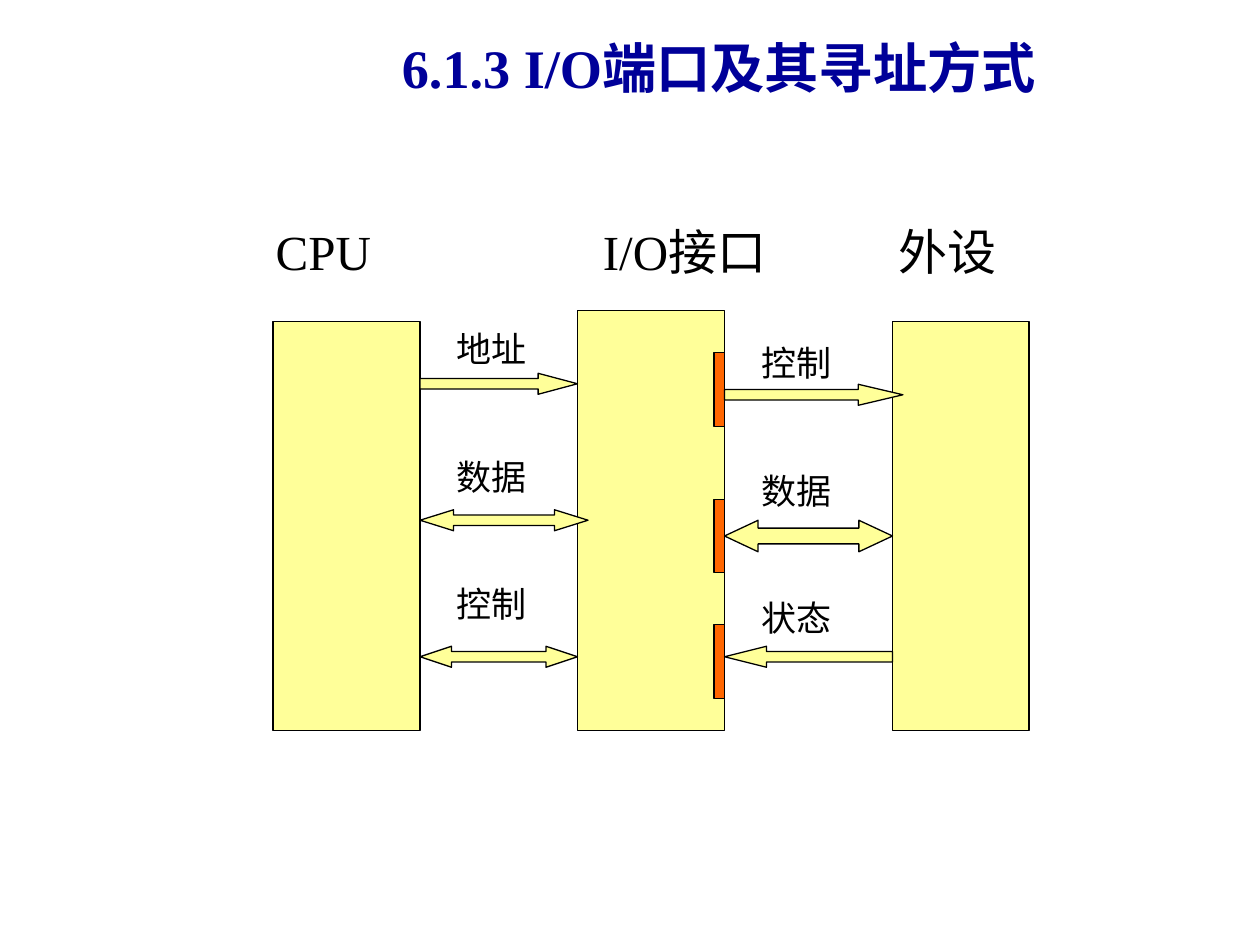
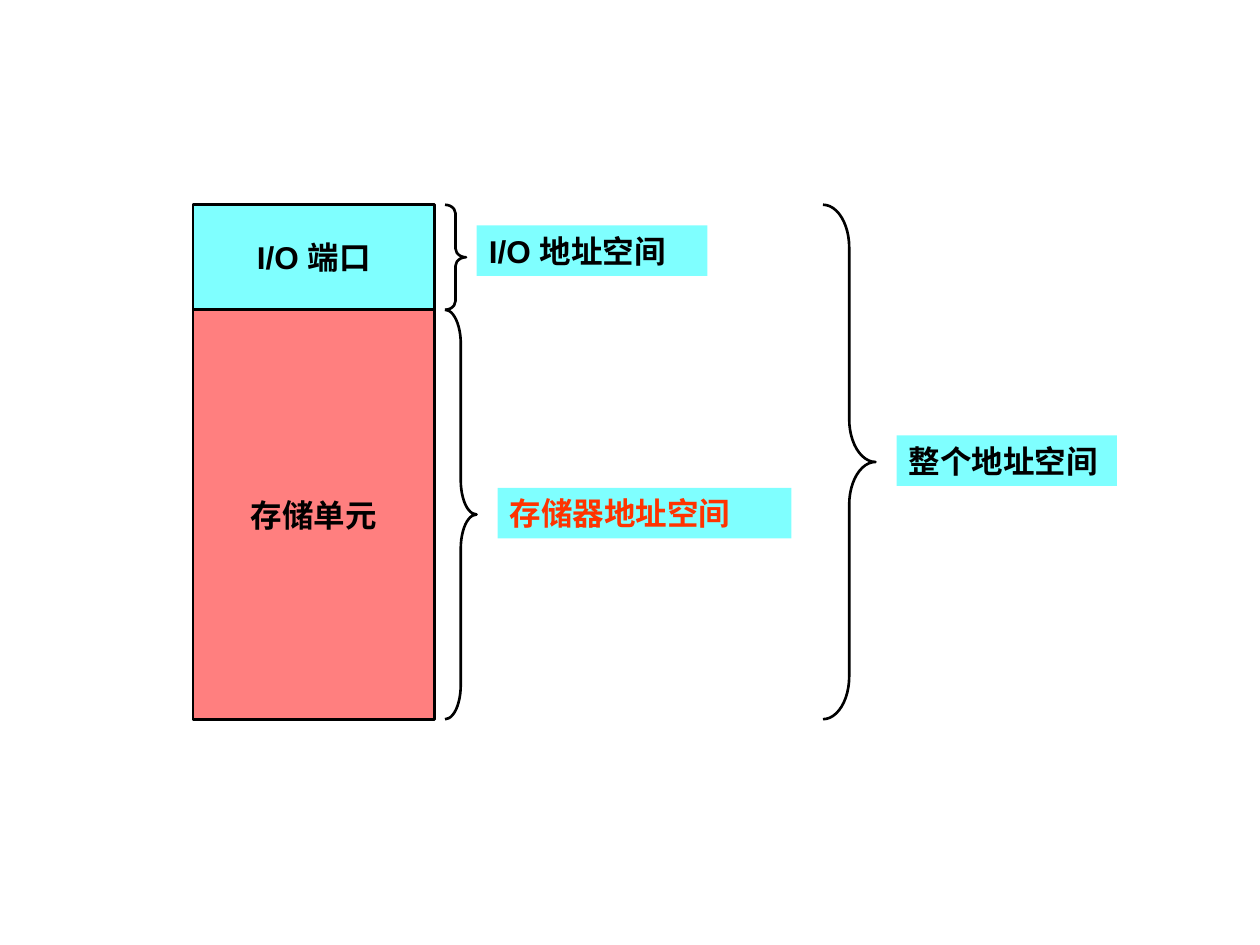
import lxml.etree
import pptx
import pptx.util
import pptx.dml.color
import pptx.enum.shapes
import pptx.enum.text
import pptx.oxml.ns

Pt = pptx.util.Pt
qn = pptx.oxml.ns.qn
SHAPE = pptx.enum.shapes.MSO_SHAPE
ALIGN = pptx.enum.text.PP_ALIGN
ANCHOR = pptx.enum.text.MSO_ANCHOR

COLORS = {
    "title": "000099", "ink": "000000", "block": "FFFF99", "port": "FF6600",
    "io": "00FFFF", "memory": "FF0000", "accent": "FF3300",
}
SERIF, SANS = "Times New Roman", "Arial"

# Slide 1: CPU, interface and device, joined by arrows
TITLE = "6.1.3 I/O端口及其寻址方式"
HEADINGS = ["CPU", "I/O接口", "外设"]
HEADING_TABS = [187, 356]
BLOCKS = [(156, 183.6, 84, 234), (330, 177.3, 84, 240), (510, 183.6, 78, 234)]
PORT_TOPS = [201.6, 285.3, 357]
PORT_WIDTH, PORT_HEIGHT = 6, 42
HEAD_SHARE = {SHAPE.RIGHT_ARROW: 0.25, SHAPE.LEFT_ARROW: 0.25,
              SHAPE.LEFT_RIGHT_ARROW: 0.2}
ARROWS = [  # kind, left, top, width, height
    (SHAPE.RIGHT_ARROW, 240, 213.3, 90, 12),
    (SHAPE.LEFT_RIGHT_ARROW, 240, 291.3, 96, 12),
    (SHAPE.LEFT_RIGHT_ARROW, 240, 369.3, 90, 12),
    (SHAPE.RIGHT_ARROW, 414, 219.6, 102, 12),
    (SHAPE.LEFT_RIGHT_ARROW, 414, 297.3, 96, 18),
    (SHAPE.LEFT_ARROW, 414, 369.3, 96, 12),
]
SIGNAL_COLUMNS = [  # left, top, labels
    (254, 183.6, ["地址", "数据", "控制"]),
    (428, 191.6, ["控制", "数据", "状态"]),
]
SIGNAL_PITCH = 72.9

# Slide 2: one address space shared by ports and memory
MAP_LEFT, MAP_TOP, MAP_WIDTH = 110.3, 117, 138
SECTIONS = [("I/O 端口", "io", 60), ("存储单元", "memory", 234)]
BRACES = [(254.3, 0, 12, 60), (254.3, 60, 18, 234), (470.3, 0, 30, 294)]
BRACE_CURVE = 1 / 12
SPACE_LABELS = [  # text, colour, left, top, width
    ("I/O 地址空间", "ink", 272.3, 128.8, 132),
    ("存储器地址空间", "accent", 284.3, 278.8, 168),
    ("整个地址空间", "ink", 512.3, 248.8, 126),
]
LABEL_HEIGHT = 28.9


def color(name):
    return pptx.dml.color.RGBColor.from_string(COLORS[name])


def write(shape, text, size, font=SERIF, ink="ink", bold=False,
          align=ALIGN.LEFT, anchor=ANCHOR.TOP, wrap=True):
    frame = shape.text_frame
    frame.text = text
    frame.word_wrap = wrap
    frame.auto_size = pptx.enum.text.MSO_AUTO_SIZE.NONE
    frame.vertical_anchor = anchor
    paragraph = frame.paragraphs[0]
    paragraph.alignment = align
    for run in paragraph.runs:
        run.font.name, run.font.size, run.font.bold = font, Pt(size), bold
        run.font.color.rgb = color(ink)
    return paragraph


def add_text(slide, text, left, top, width, height, size):
    box = slide.shapes.add_textbox(Pt(left), Pt(top), Pt(width), Pt(height))
    return write(box, text, size)


def add_shape(slide, kind, box, fill=None, line=0.75, alpha=None):
    shape = slide.shapes.add_shape(kind, *(Pt(value) for value in box))
    shape.shadow.inherit = False
    if fill:
        shape.fill.solid()
        shape.fill.fore_color.rgb = color(fill)
    else:
        shape.fill.background()
    if alpha:
        tint = shape._element.spPr.find(qn("a:solidFill")).find(qn("a:srgbClr"))
        lxml.etree.SubElement(tint, qn("a:alpha"), val=str(alpha * 1000))
    if line:
        shape.line.color.rgb = color("ink")
        shape.line.width = Pt(line)
    else:
        shape.line.fill.background()
    return shape


def add_tabs(paragraph, positions):
    tabs = lxml.etree.SubElement(paragraph._p.get_or_add_pPr(), qn("a:tabLst"))
    for position in positions:
        lxml.etree.SubElement(tabs, qn("a:tab"), pos=str(int(Pt(position))), algn="l")


def build_interface_slide(presentation):
    slide = presentation.slides.add_slide(presentation.slide_layouts[5])
    title = slide.shapes.title
    title.left, title.top, title.width, title.height = Pt(121.7), Pt(18), Pt(578), Pt(47.5)
    paragraph = write(title, TITLE, 31, ink="title", bold=True,
                      align=ALIGN.CENTER, anchor=ANCHOR.MIDDLE)
    paragraph.line_spacing = 0.8

    # Blocks, with the ports along the right edge of the interface
    for box in BLOCKS:
        add_shape(slide, SHAPE.RECTANGLE, box, "block")
    port_left = BLOCKS[1][0] + BLOCKS[1][2] - PORT_WIDTH
    for top in PORT_TOPS:
        add_shape(slide, SHAPE.RECTANGLE, (port_left, top, PORT_WIDTH, PORT_HEIGHT), "port")

    # Arrows: head length is a share of the arrow length
    for kind, left, top, width, height in ARROWS:
        arrow = add_shape(slide, kind, (left, top, width, height), "block")
        arrow.adjustments[0] = 0.5
        arrow.adjustments[1] = HEAD_SHARE[kind] * width / height

    # Headings and signal names
    headings = add_text(slide, "\t".join(HEADINGS), 150.5, 123.1, 468, 50, 28)
    add_tabs(headings, HEADING_TABS)
    for left, top, labels in SIGNAL_COLUMNS:
        for row, label in enumerate(labels):
            add_text(slide, label, left, top + row * SIGNAL_PITCH, 75, 32, 20)


def build_address_slide(presentation):
    slide = presentation.slides.add_slide(presentation.slide_layouts[6])

    # Stacked sections of the address map
    top = MAP_TOP
    for text, fill, height in SECTIONS:
        section = add_shape(slide, SHAPE.RECTANGLE, (MAP_LEFT, top, MAP_WIDTH, height),
                            fill, 1.5, alpha=50)
        write(section, text, 18, SANS, bold=True, align=ALIGN.CENTER,
              anchor=ANCHOR.MIDDLE, wrap=False)
        top += height

    # Braces: the curve is a share of the brace height
    for left, offset, width, height in BRACES:
        brace = add_shape(slide, SHAPE.RIGHT_BRACE,
                          (left, MAP_TOP + offset, width, height), line=1.5)
        brace.adjustments[0] = BRACE_CURVE * height / width

    # Names of the address spaces
    for text, ink, left, label_top, width in SPACE_LABELS:
        label = add_shape(slide, SHAPE.RECTANGLE, (left, label_top, width, LABEL_HEIGHT),
                          "io", line=0, alpha=50)
        write(label, text, 18, SANS, ink, bold=True)


def main():
    presentation = pptx.Presentation()
    presentation.slide_width, presentation.slide_height = Pt(720), Pt(540)
    build_interface_slide(presentation)
    build_address_slide(presentation)
    presentation.save("out.pptx")


if __name__ == "__main__":
    main()
